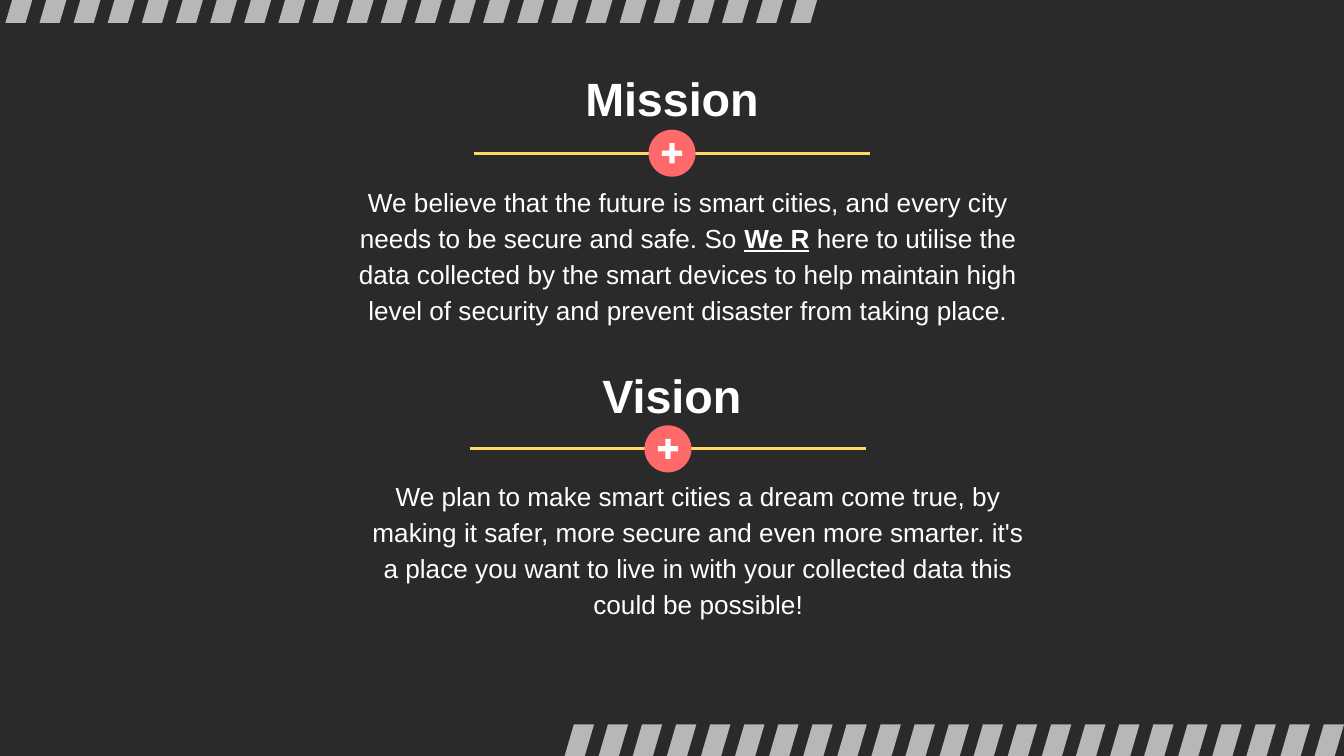
from lxml import etree
from pptx import Presentation
from pptx.dml.color import RGBColor
from pptx.enum import shapes, text
from pptx.oxml import ns
from pptx.util import Inches, Pt

DARK = RGBColor(0x2A, 0x2A, 0x2A)
GREY = RGBColor(0xB7, 0xB7, 0xB7)
WHITE = RGBColor(0xFF, 0xFF, 0xFF)
YELLOW = RGBColor(0xFF, 0xD9, 0x66)
CORAL = RGBColor(0xFE, 0x6A, 0x6A)
FONT = "Arial"

# Content: body text is a list of (words, emphasised) spans
SECTIONS = [
    {
        "heading": "Mission", "top": 0.29,
        "divider_centre": (5, 1.14),
        "body_at": (2.5, 1.25, 5.24, 1.25),
        "body": [
            ("We believe that the future is smart cities, and every city needs "
             "to be secure and safe. So ", False),
            ("We R", True),
            (" here to utilise the data collected by the smart devices to help "
             "maintain high level of security and prevent disaster from taking "
             "place.", False),
        ],
    },
    {
        "heading": "Vision", "top": 2.5,
        "divider_centre": (4.97, 3.34),
        "body_at": (2.65, 3.44, 5.09, 1.25),
        "body": [
            ("We plan to make smart cities a dream come true, by making it "
             "safer, more secure and even more smarter. it's a place you want "
             "to live in with your collected data this could be possible!", False),
        ],
    },
]

# Stripe bands: first left, last left, top, number of stripes
BANDS = [(0.04, 5.88, -0.41, 24), (4.10, 9.68, 5.39, 23)]
STRIPE_WIDTH, STRIPE_SLANT, STRIPE_HEIGHT = 0.15, 0.17, 0.58

HEADING_LEFT, HEADING_WIDTH, HEADING_HEIGHT = 1.52, 6.96, 0.87
DIVIDER_LENGTH, DISC_SIZE, PLUS_SIZE = 2.95, 0.35, 0.15


def paint(shape, colour):
    shape.shadow.inherit = False
    shape.fill.solid()
    shape.fill.fore_color.rgb = colour
    shape.line.fill.background()


def add_band(page, first, last, top, count):
    band = page.shapes.add_group_shape()
    step = (last - first) / (count - 1)
    bottom = top + STRIPE_HEIGHT
    for number in range(count):
        left = first + number * step
        corners = [
            (left + STRIPE_SLANT + STRIPE_WIDTH, top),
            (left + STRIPE_SLANT, top),
            (left, bottom),
            (left + STRIPE_WIDTH, bottom),
        ]
        points = [(Inches(x), Inches(y)) for x, y in corners]
        outline = band.shapes.build_freeform(*points[0])
        outline.add_line_segments(points[1:], close=True)
        paint(outline.convert_to_shape(), GREY)


def add_divider(page, centre, middle):
    group = page.shapes.add_group_shape()
    rule = group.shapes.add_connector(
        shapes.MSO_CONNECTOR.STRAIGHT,
        Inches(centre - DIVIDER_LENGTH / 2), Inches(middle),
        Inches(centre + DIVIDER_LENGTH / 2), Inches(middle))
    rule.line.color.rgb = YELLOW
    rule.line.width = Pt(1.5)
    etree.SubElement(rule._element.spPr, ns.qn("a:effectLst"))

    for kind, size, colour in [
        (shapes.MSO_SHAPE.OVAL, DISC_SIZE, CORAL),
        (shapes.MSO_SHAPE.CROSS, PLUS_SIZE, WHITE),
    ]:
        badge = group.shapes.add_shape(
            kind, Inches(centre - size / 2), Inches(middle - size / 2),
            Inches(size), Inches(size))
        paint(badge, colour)
    badge.adjustments[0] = 0.37


def write(box, spans, size, anchor, bold=None, spacing=1.0):
    frame = box.text_frame
    frame.word_wrap = True
    frame.auto_size = text.MSO_AUTO_SIZE.NONE
    frame.vertical_anchor = anchor
    frame.margin_left = frame.margin_right = Inches(0.1)
    frame.margin_top = frame.margin_bottom = Inches(0.1)
    para = frame.paragraphs[0]
    para.alignment = text.PP_ALIGN.CENTER
    para.line_spacing = spacing
    para.font.name = FONT
    para.font.size = Pt(size)
    para.font.bold = bold
    para.font.color.rgb = WHITE
    for words, emphasised in spans:
        span = para.add_run()
        span.text = words
        if emphasised:
            span.font.bold = span.font.underline = True


def add_section(page, section, heading):
    heading.left, heading.top = Inches(HEADING_LEFT), Inches(section["top"])
    heading.width, heading.height = Inches(HEADING_WIDTH), Inches(HEADING_HEIGHT)
    write(heading, [(section["heading"], False)], 25,
          text.MSO_ANCHOR.MIDDLE, bold=True)
    add_divider(page, *section["divider_centre"])
    body = page.shapes.add_textbox(*map(Inches, section["body_at"]))
    write(body, section["body"], 14, text.MSO_ANCHOR.TOP, spacing=1.15)


def main():
    deck = Presentation()
    deck.slide_width = Inches(10)
    deck.slide_height = deck.slide_width * 9 // 16
    page = deck.slides.add_slide(deck.slide_layouts.get_by_name("Title Only"))
    page.background.fill.solid()
    page.background.fill.fore_color.rgb = DARK

    # Striped edges
    for band in BANDS:
        add_band(page, *band)

    # The title placeholder heads the first section, a text box the second
    mission, vision = SECTIONS
    add_section(page, mission, page.shapes.title)
    add_section(page, vision, page.shapes.add_textbox(0, 0, 0, 0))

    deck.save("out.pptx")


if __name__ == "__main__":
    main()
